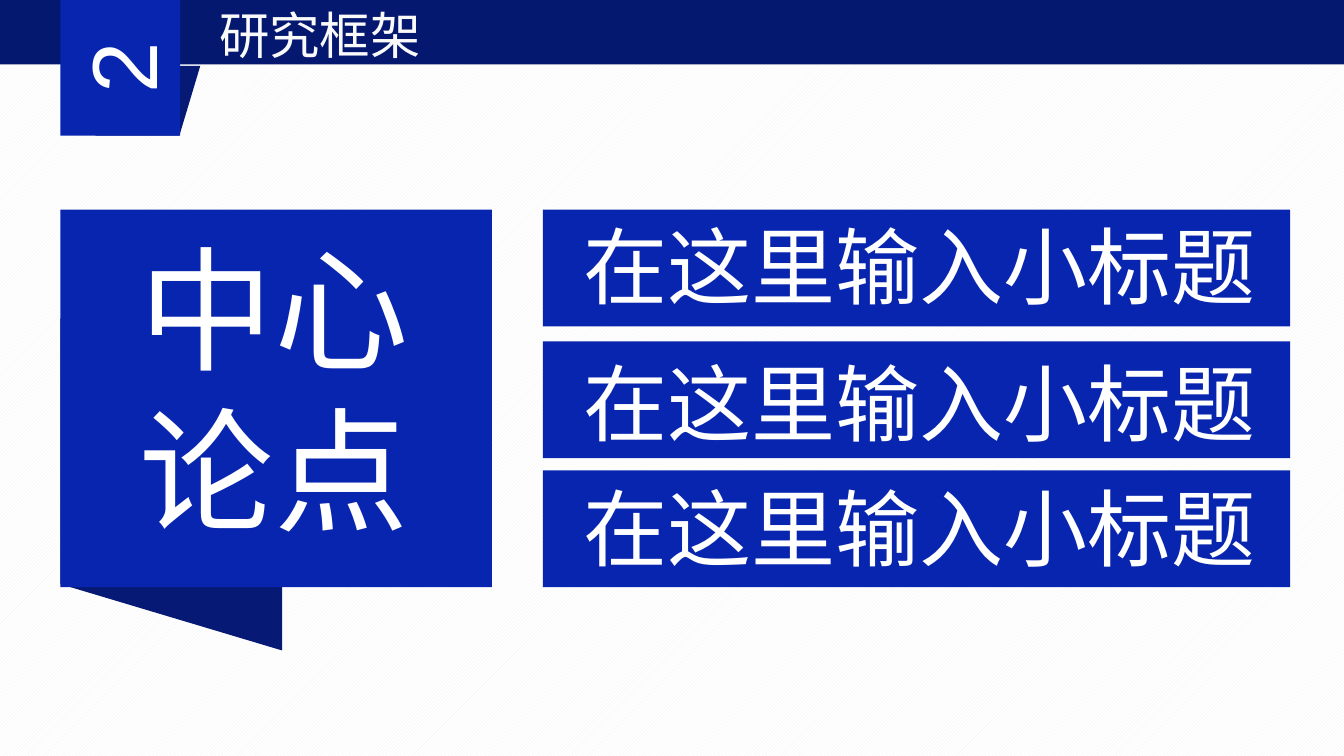
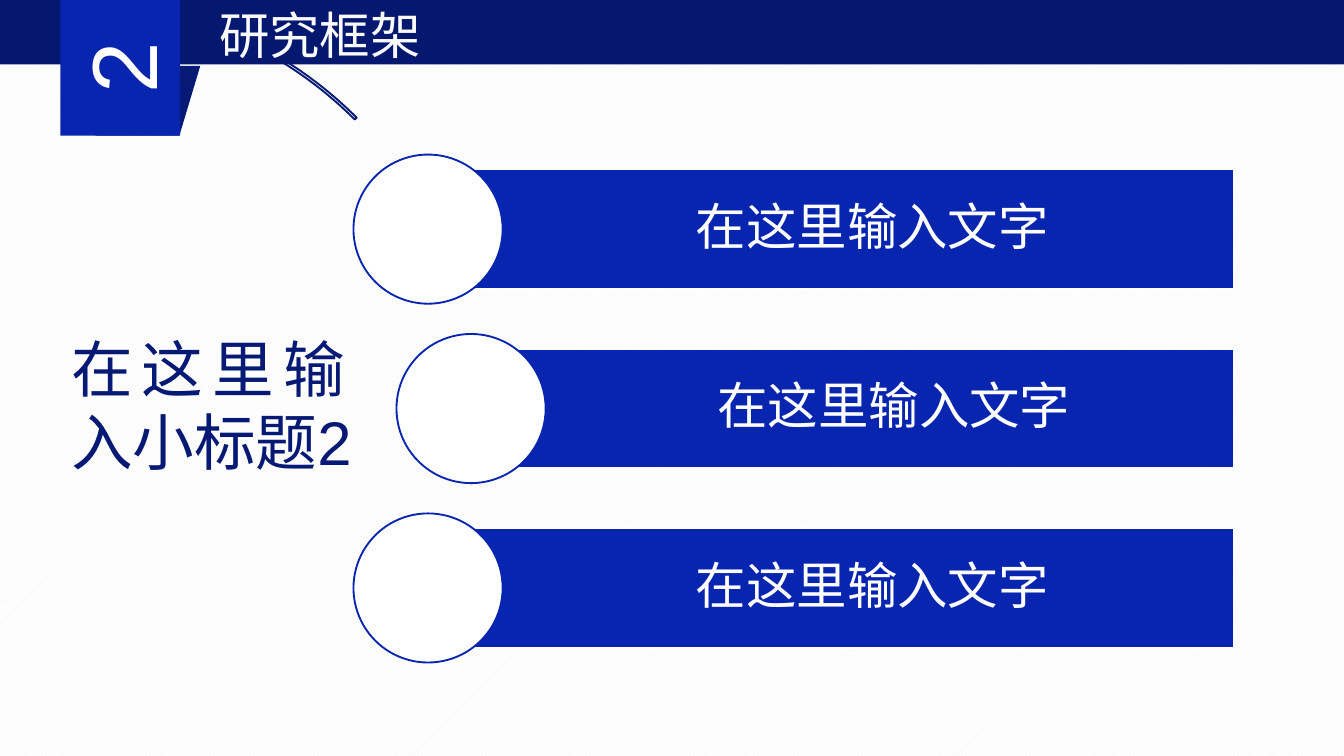
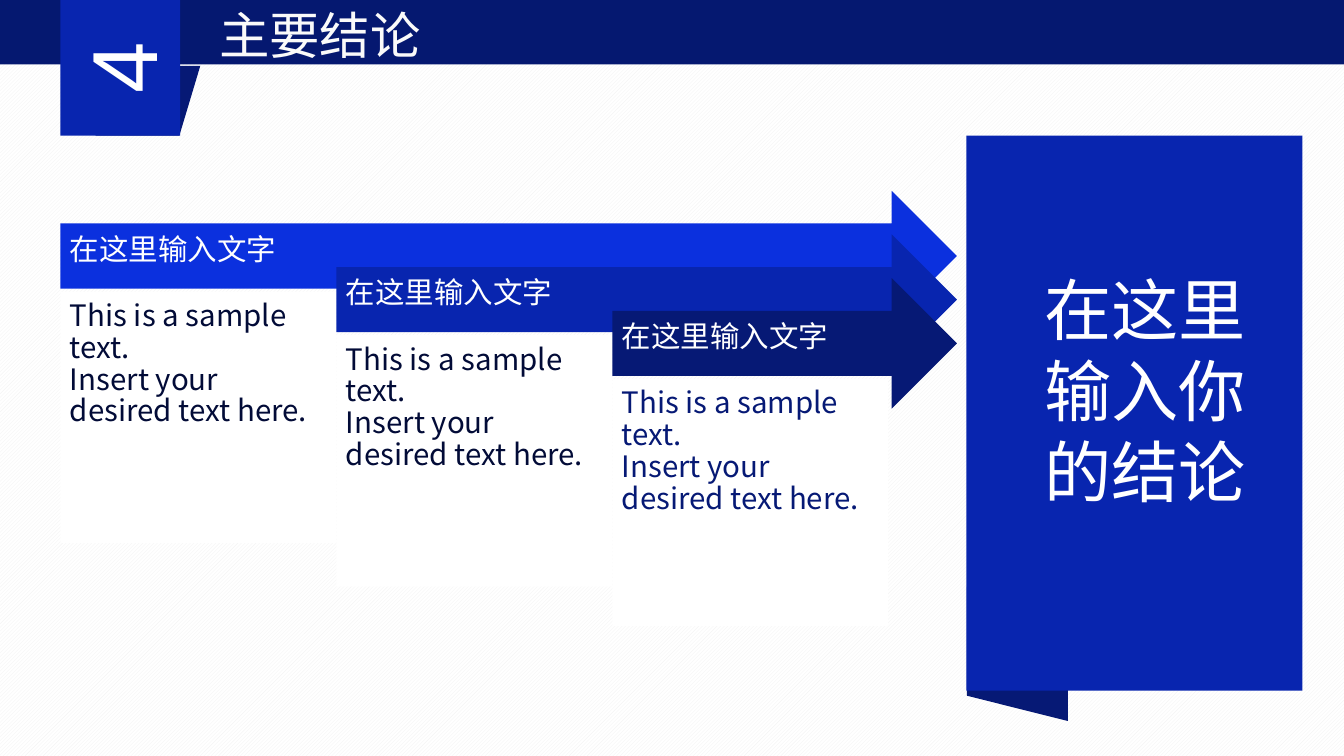
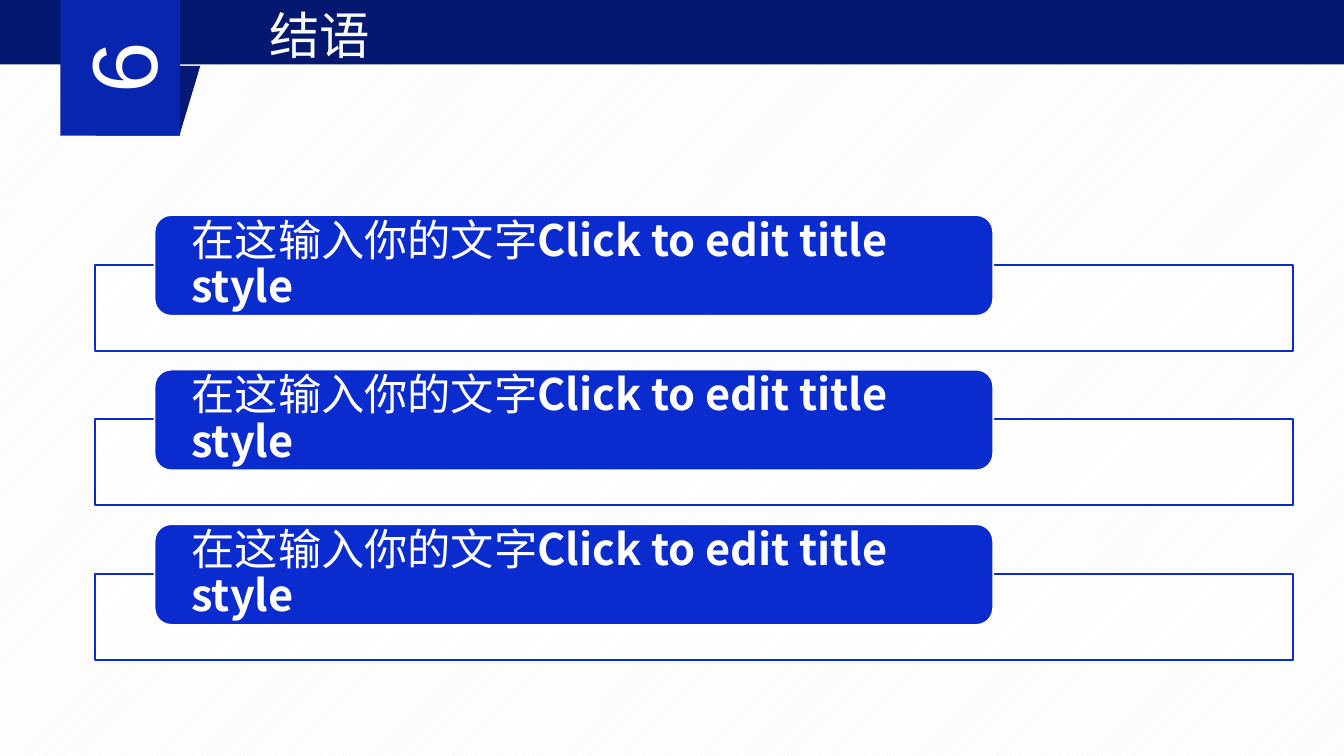
from pptx import Presentation
from pptx.dml.color import RGBColor
from pptx.enum.dml import MSO_PATTERN
from pptx.enum.shapes import MSO_SHAPE
from pptx.enum.text import MSO_ANCHOR, PP_ALIGN
from pptx.oxml.ns import qn
from pptx.util import Inches, Pt
from lxml import etree

WHITE = RGBColor(0xFF, 0xFF, 0xFF)
OFF_WHITE = RGBColor(0xFA, 0xFA, 0xFA)
STRIPE = RGBColor(0xF2, 0xF2, 0xF2)
BAND = RGBColor(0x05, 0x18, 0x70)
NAVY = RGBColor(0x06, 0x19, 0x75)
INK = RGBColor(0x02, 0x0B, 0x37)
BLUE = RGBColor(0x08, 0x25, 0xAF)
LABEL_BLUE = RGBColor(0x0A, 0x2C, 0xCF)
BRIGHT_BLUE = RGBColor(0x0B, 0x30, 0xDE)

HEADING_FONT = "Arial"
BODY_FONT = "Noto Sans CJK SC"
DEFAULT_INSETS = (0.1, 0.05, 0.1, 0.05)


def add_slide(presentation):
    slide = presentation.slides.add_slide(presentation.slide_layouts[6])
    fill = slide.background.fill
    fill.patterned()
    fill.pattern = MSO_PATTERN.LIGHT_UPWARD_DIAGONAL
    fill.fore_color.rgb = STRIPE
    fill.back_color.rgb = WHITE
    return slide


def add_box(slide, kind, left, top, width, height, fill=None, line=None, rotation=0):
    shape = slide.shapes.add_shape(
        kind, Inches(left), Inches(top), Inches(width), Inches(height))
    shape.shadow.inherit = False
    shape.rotation = rotation
    if fill is None:
        shape.fill.background()
    else:
        shape.fill.solid()
        shape.fill.fore_color.rgb = fill
    if line is None:
        shape.line.fill.background()
    else:
        shape.line.color.rgb = line
        shape.line.width = Pt(1)
    return shape


def set_text(shape, paragraphs, size, color, font=HEADING_FONT, align=PP_ALIGN.LEFT,
             anchor=MSO_ANCHOR.TOP, insets=DEFAULT_INSETS, spacing=None):
    """Fill a shape with paragraphs; a line feed inside one is a line break."""
    frame = shape.text_frame
    frame.word_wrap = True
    frame.vertical_anchor = anchor
    (frame.margin_left, frame.margin_top,
     frame.margin_right, frame.margin_bottom) = map(Inches, insets)
    for index, text in enumerate(paragraphs):
        paragraph = frame.add_paragraph() if index else frame.paragraphs[0]
        paragraph.text = text
        paragraph.alignment = align
        paragraph.line_spacing = spacing
        paragraph.font.name = font
        paragraph.font.size = Pt(size)
        paragraph.font.color.rgb = color


def add_text(slide, left, top, width, height, paragraphs, size, color, **style):
    box = slide.shapes.add_textbox(
        Inches(left), Inches(top), Inches(width), Inches(height))
    set_text(box, paragraphs, size, color, **style)


def add_header(slide, number, title):
    """Draw the top band with its title and the folded chapter tab."""
    add_box(slide, MSO_SHAPE.RECTANGLE, 0, -0.01, 10, 0.49, BAND)
    add_box(slide, MSO_SHAPE.FLOWCHART_DATA, 0.71, 0.49, 0.78, 0.52, NAVY, rotation=180)
    tab = add_box(slide, MSO_SHAPE.RECTANGLE, 0.39, 0.06, 1.01, 0.89, BLUE, rotation=270)
    set_text(tab, [number], 49.5, WHITE, align=PP_ALIGN.CENTER, anchor=MSO_ANCHOR.MIDDLE)
    add_text(slide, 1.1, -0.02, 2.56, 0.56, [title], 27, OFF_WHITE, align=PP_ALIGN.CENTER)


def add_circle_bar(slide, left, top, text):
    """Draw a bar that starts under a white circle."""
    bar = add_box(slide, MSO_SHAPE.RECTANGLE, left, top, 9.18 - left, 0.89, BLUE, WHITE)
    set_text(bar, [text], 27, WHITE, BODY_FONT, PP_ALIGN.CENTER, MSO_ANCHOR.MIDDLE,
             (0.71, 0.07, 0.1, 0.07), 0.9)
    add_box(slide, MSO_SHAPE.OVAL, left - 0.56, top - 0.11, 1.11, 1.11, WHITE, BLUE)


def add_arrow_card(slide, left, top, card_height, fill, text_color):
    """Draw an arrow up to the common tip line, with a card below its tail."""
    arrow = add_box(slide, MSO_SHAPE.RIGHT_ARROW, left, top, 7.12 - left, 0.97, fill)
    set_text(arrow, ["在这里输入文字"], 15.8, WHITE, BODY_FONT, anchor=MSO_ANCHOR.MIDDLE,
             insets=(0.07, 0.07, 0.21, 0.15), spacing=0.9)
    card = add_box(slide, MSO_SHAPE.RECTANGLE, left, top + 0.75, 2.05, card_height, WHITE)
    set_text(card, ["This is a sample text.\nInsert your desired text here."], 15.8,
             text_color, BODY_FONT, insets=(0.07,) * 4, spacing=0.9)


def add_labelled_frame(slide, top, text, bold_text):
    """Draw a thin frame with a rounded label over its top edge."""
    frame = add_box(slide, MSO_SHAPE.RECTANGLE, 0.71, top + 0.37, 8.91, 0.64,
                    WHITE, LABEL_BLUE)
    color = frame.fill._xPr.find(qn("a:solidFill"))[0]
    etree.SubElement(color, qn("a:alpha"), val="89000")
    label = add_box(slide, MSO_SHAPE.ROUNDED_RECTANGLE, 1.15, top, 6.24, 0.75,
                    LABEL_BLUE, WHITE)
    set_text(label, [text], 23.2, WHITE, BODY_FONT, anchor=MSO_ANCHOR.MIDDLE,
             insets=(0.24, 0, 0.24, 0), spacing=0.9)
    run = label.text_frame.paragraphs[0].add_run()
    run.text = bold_text
    run.font.bold = True


def build_thesis_slide(presentation):
    slide = add_slide(presentation)
    add_header(slide, "2", "研究框架")
    add_box(slide, MSO_SHAPE.FLOWCHART_DATA, 0.04, 2.78, 2.47, 1.65, NAVY, rotation=270)
    add_box(slide, MSO_SHAPE.RECTANGLE, 0.45, 1.56, 3.21, 2.81, BLUE)
    add_text(slide, -0.16, 1.63, 4.4, 2.52, ["中心", "论点"], 72, WHITE,
             align=PP_ALIGN.CENTER)
    for bar_top, text_top in ((1.56, 1.55), (2.54, 2.57), (3.5, 3.5)):
        add_box(slide, MSO_SHAPE.RECTANGLE, 4.04, bar_top, 5.56, 0.87, BLUE)
        add_text(slide, 4.24, text_top, 5.36, 0.86, ["在这里输入小标题"], 45, WHITE)


def build_circle_list_slide(presentation):
    slide = add_slide(presentation)
    arc = add_box(slide, MSO_SHAPE.BLOCK_ARC, -2.45, 0, 5.98, 5.98, line=NAVY)
    # Angles are in 60000ths of a degree, which the library divides by 100000.
    arc.adjustments[0] = 225 * 0.6
    arc.adjustments[1] = 315 * 0.6
    arc.adjustments[2] = 0.02 / 5.98
    for row, left in enumerate((3.19, 3.51, 3.19)):
        add_circle_bar(slide, left, 1.26 + 1.335 * row, "在这里输入文字")
    add_text(slide, 0.43, 2.41, 2.31, 1.21, ["在这里输\n入小标题2"], 33, NAVY,
             align=PP_ALIGN.JUSTIFY)
    add_header(slide, "2", "研究框架")


def build_conclusion_slide(presentation):
    slide = add_slide(presentation)
    fold = add_box(slide, MSO_SHAPE.PARALLELOGRAM, 7.07, 4.49, 1, 0.75, NAVY, rotation=90)
    fold.adjustments[0] = 0.25
    add_header(slide, "4", "主要结论")
    cards = ((1.87, BRIGHT_BLUE, INK), (1.87, BLUE, INK), (1.84, NAVY, NAVY))
    for step, (card_height, fill, text_color) in enumerate(cards):
        add_arrow_card(slide, 0.45 + 2.053 * step, 1.42 + 0.325 * step,
                       card_height, fill, text_color)
    add_box(slide, MSO_SHAPE.RECTANGLE, 7.19, 1.01, 2.5, 4.13, BLUE)
    add_text(slide, 7.67, 1.95, 2.13, 2.52, ["在这里输入你的结论"], 36, WHITE)


def build_closing_slide(presentation):
    slide = add_slide(presentation)
    add_header(slide, "6", "结语")
    for row in range(3):
        add_labelled_frame(slide, 1.6 + 1.15 * row, "在这输入你的文字",
                           "Click to edit title style")


def main():
    presentation = Presentation()
    presentation.slide_width = Inches(10)
    presentation.slide_height = Inches(10) * 9 // 16
    build_thesis_slide(presentation)
    build_circle_list_slide(presentation)
    build_conclusion_slide(presentation)
    build_closing_slide(presentation)
    presentation.save("out.pptx")


if __name__ == "__main__":
    main()
